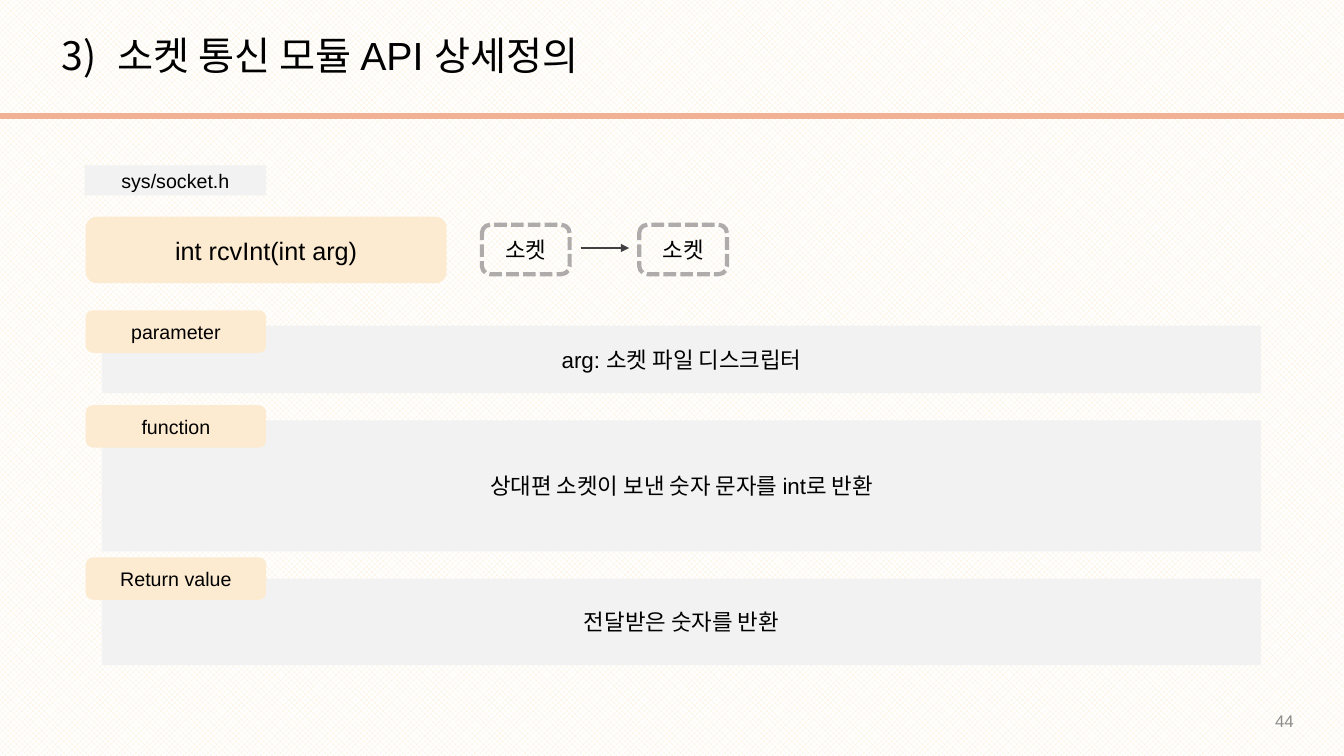
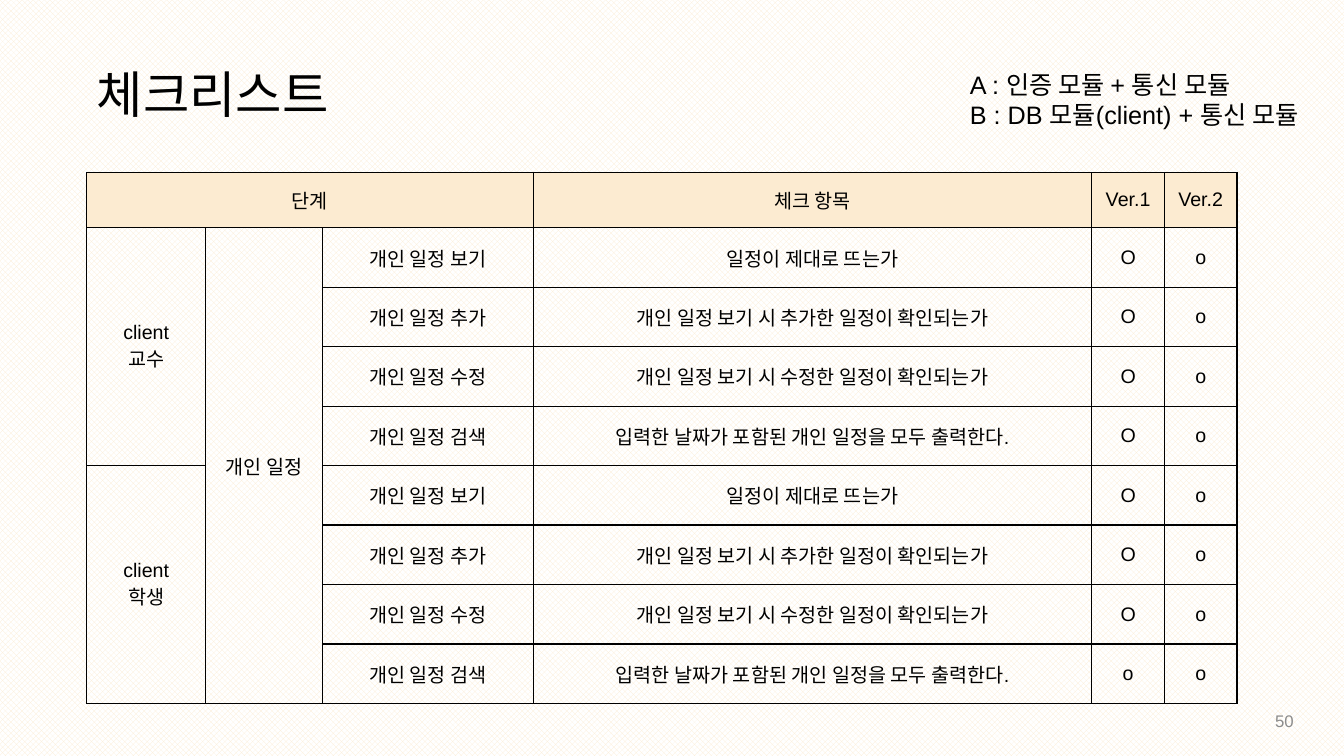
from lxml import etree
from pptx import Presentation
from pptx import util as u
from pptx.dml.color import RGBColor
from pptx.enum import dml, shapes, text
from pptx.oxml import parse_xml
from pptx.oxml.ns import nsdecls, qn

COLORS = {
    "black": "000000",
    "white": "FFFFFF",
    "cream": "FCEBD1",
    "panel": "F2F2F2",
    "rule": "F0B195",
    "dash": "AFABAB",
    "arrow": "404040",
    "number": "8C8C8C",
}
FONT = "Arial"
LEFT, CENTER, RIGHT = text.PP_ALIGN.LEFT, text.PP_ALIGN.CENTER, text.PP_ALIGN.RIGHT
TOP, MIDDLE = text.MSO_ANCHOR.TOP, text.MSO_ANCHOR.MIDDLE
RECTANGLE = shapes.MSO_SHAPE.RECTANGLE
ROUNDED = shapes.MSO_SHAPE.ROUNDED_RECTANGLE


def color(name):
    return RGBColor.from_string(COLORS[name])


def write(frame, content, size=14, ink="black", align=CENTER, anchor=MIDDLE, wrap=True):
    frame.word_wrap = wrap
    frame.auto_size = text.MSO_AUTO_SIZE.NONE
    frame.vertical_anchor = anchor
    frame.text = content
    for paragraph in frame.paragraphs:
        paragraph.alignment = align
        for run in paragraph.runs:
            run.font.name = FONT
            run.font.size = u.Pt(size)
            run.font.color.rgb = color(ink)


def add_box(slide, preset, position, content, fill=None, outline=None, size=14):
    shape = slide.shapes.add_shape(preset, *map(u.Inches, position))
    shape.shadow.inherit = False
    if fill:
        shape.fill.solid()
        shape.fill.fore_color.rgb = color(fill)
    else:
        shape.fill.background()
    if outline:
        shape.line.color.rgb = color(outline)
        shape.line.width = u.Pt(3)
        shape.line.dash_style = dml.MSO_LINE.SQUARE_DOT
    else:
        shape.line.fill.background()
    write(shape.text_frame, content, size=size)


presentation = Presentation()
presentation.slide_width = u.Inches(13.33)
presentation.slide_height = u.Inches(7.5)
background = presentation.slide_master.background.fill
background.patterned()
background.pattern = dml.MSO_PATTERN.OUTLINED_DIAMOND
background.fore_color.rgb = color("cream")
background.back_color.rgb = color("white")

slides = []
for title, position, size, number in [
    ("소켓 통신 모듈 API 상세정의", (0.51, 0.31, 12.32, 0.8), 28, "44"),
    ("체크리스트", (0.86, 0.58, 2.52, 0.71), 36, "50"),
]:
    slide = presentation.slides.add_slide(presentation.slide_layouts[5])
    shape = slide.shapes.title
    shape.left, shape.top, shape.width, shape.height = map(u.Inches, position)
    write(shape.text_frame, title, size=size, align=LEFT, anchor=TOP, wrap=False)
    footer = slide.shapes.add_textbox(*map(u.Inches, (9.93, 6.95, 3, 0.4)))
    write(footer.text_frame, number, size=12, ink="number", align=RIGHT)
    slides.append(slide)
api_slide, checklist_slide = slides

api_slide.shapes.title.text_frame.word_wrap = True
paragraph = api_slide.shapes.title.text_frame.paragraphs[0]
paragraph.line_spacing = 0.9
properties = paragraph._p.get_or_add_pPr()
properties.set("marL", str(u.Inches(0.56)))
properties.set("indent", str(u.Inches(-0.56)))
etree.SubElement(properties, qn("a:buFont"), typeface=FONT)
etree.SubElement(properties, qn("a:buAutoNum"), type="arabicParenR", startAt="3")

for start, end, top, ink, width, arrow in [
    (0, 13.33, 1.15, "rule", 4, False),
    (5.76, 6.24, 2.46, "arrow", 1.5, True),
]:
    connector = api_slide.shapes.add_connector(
        shapes.MSO_CONNECTOR.STRAIGHT,
        *map(u.Inches, (start, top, end, top)),
    )
    connector.line.color.rgb = color(ink)
    connector.line.width = u.Pt(width)
    if arrow:
        etree.SubElement(connector.line._get_or_add_ln(), qn("a:tailEnd"), type="triangle")
    etree.SubElement(connector._element.spPr, qn("a:effectLst"))

add_box(api_slide, RECTANGLE, (0.84, 1.64, 1.8, 0.3), "sys/socket.h", fill="panel")
add_box(api_slide, ROUNDED, (0.85, 2.15, 3.58, 0.66), "int rcvInt(int arg)", fill="cream", size=18)
for left in (4.78, 6.34):
    add_box(api_slide, ROUNDED, (left, 2.23, 0.87, 0.49), "소켓", outline="dash", size=16)

for label, description, label_top, panel_top, panel_height in [
    ("parameter", "arg: 소켓 파일 디스크립터", 3.08, 3.23, 0.67),
    ("function", "상대편 소켓이 보낸 숫자 문자를 int로 반환", 4.02, 4.17, 1.3),
    ("Return value", "전달받은 숫자를 반환", 5.53, 5.74, 0.86),
]:
    panel = (1.01, panel_top, 11.5, panel_height)
    add_box(api_slide, RECTANGLE, panel, description, fill="panel", size=16)
    add_box(api_slide, ROUNDED, (0.85, label_top, 1.79, 0.42), label, fill="cream")

legend = checklist_slide.shapes.add_textbox(*map(u.Inches, (9.52, 0.64, 3.81, 0.71)))
write(
    legend.text_frame,
    "A : 인증 모듈 + 통신 모듈\nB : DB 모듈(client) + 통신 모듈",
    size=18, align=LEFT, anchor=TOP, wrap=False,
)

checks = [
    ("개인 일정 보기", "일정이 제대로 뜨는가"),
    ("개인 일정 추가", "개인 일정 보기 시 추가한 일정이 확인되는가"),
    ("개인 일정 수정", "개인 일정 보기 시 수정한 일정이 확인되는가"),
    ("개인 일정 검색", "입력한 날짜가 포함된 개인 일정을 모두 출력한다."),
]
rows = [["단계", "", "", "체크 항목", "Ver.1", "Ver.2"]]
for client in ("client\n교수", "client\n학생"):
    for index, (step, check) in enumerate(checks):
        rows.append([client if index == 0 else "", "", step, check, "O", "o"])
rows[1][1] = "개인 일정"
rows[-1][4] = "o"

column_widths = [1.18, 1.16, 2.09, 5.54, 0.72, 0.72]
table = checklist_slide.shapes.add_table(
    len(rows), len(column_widths), *map(u.Inches, (0.86, 1.71, 11.41, 5.27))
).table
table.first_row = False
table.horz_banding = False
for column, width in zip(table.columns, column_widths):
    column.width = u.Inches(width)
for index, row in enumerate(table.rows):
    row.height = u.Inches(0.59 if index else 0.55)
for first, last in [((0, 0), (0, 2)), ((1, 0), (4, 0)), ((5, 0), (8, 0)), ((1, 1), (8, 1))]:
    table.cell(*first).merge(table.cell(*last))

for row_index, values in enumerate(rows):
    for column_index, value in enumerate(values):
        cell = table.cell(row_index, column_index)
        cell_properties = cell._tc.get_or_add_tcPr()
        for side in ("lnL", "lnR", "lnT", "lnB"):
            cell_properties.append(parse_xml(
                f'<a:{side} {nsdecls("a")} w="{u.Pt(1)}"><a:solidFill>'
                f'<a:srgbClr val="{COLORS["black"]}"/></a:solidFill></a:{side}>'
            ))
        if row_index == 0:
            cell.fill.solid()
            cell.fill.fore_color.rgb = color("cream")
        else:
            cell.fill.background()
        cell.vertical_anchor = MIDDLE
        if value:
            write(cell.text_frame, value)

presentation.save("out.pptx")
